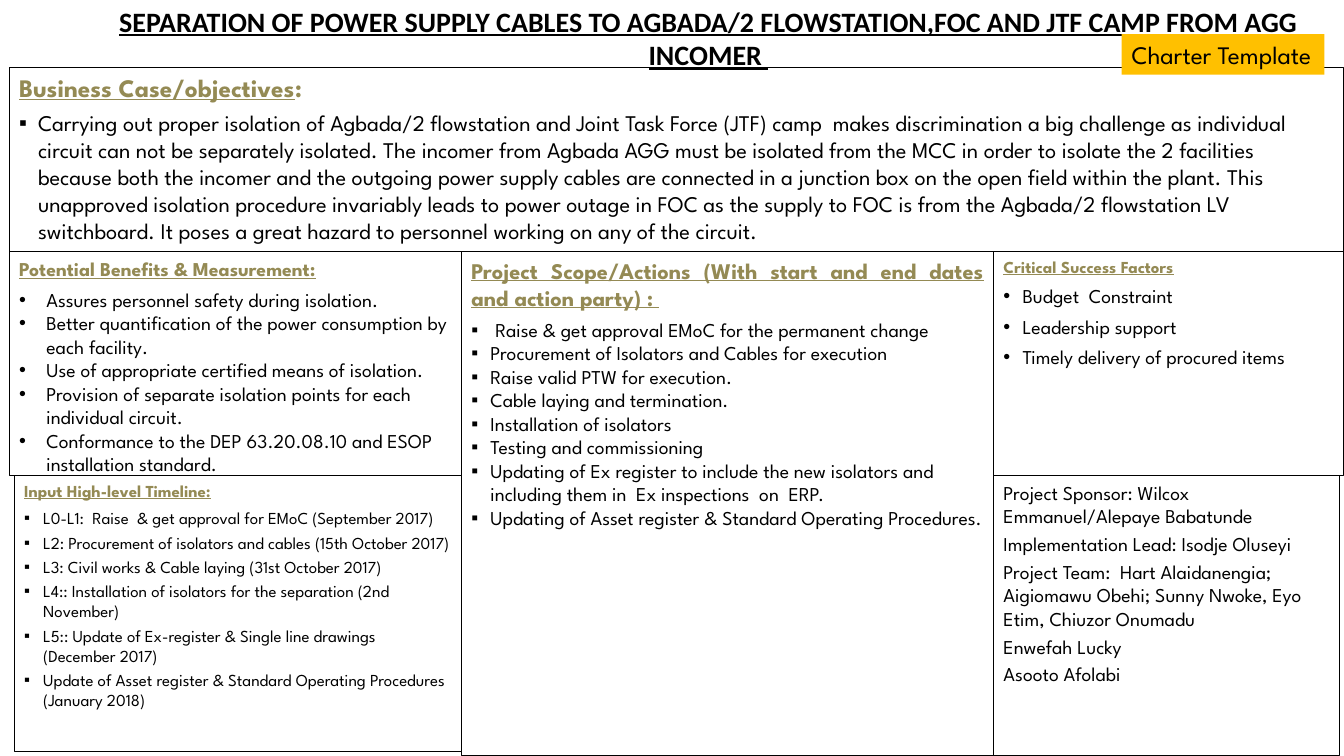
from lxml.etree import SubElement
from pptx import Presentation
from pptx.dml.color import RGBColor
from pptx.enum.shapes import MSO_SHAPE as Shape
from pptx.enum.text import MSO_ANCHOR as Anchor, MSO_AUTO_SIZE as AutoSize, PP_ALIGN as Align
from pptx.oxml.ns import qn
from pptx.util import Cm, Pt

TITLE = ("SEPARATION OF POWER SUPPLY CABLES TO AGBADA/2 FLOWSTATION,FOC "
         "AND JTF CAMP FROM AGG INCOMER ")
BADGE = "Charter Template"

BUSINESS_CASE = [
    "Carrying out proper isolation of Agbada/2 flowstation and Joint Task Force (JTF) camp  makes "
    "discrimination a big challenge as individual circuit can not be separately isolated. The incomer "
    "from Agbada AGG must be isolated from the MCC in order to isolate the 2 facilities because both "
    "the incomer and the outgoing power supply cables are connected in a junction box on the open "
    "field within the plant. This unapproved isolation procedure invariably leads to power outage in "
    "FOC as the supply to FOC is from the Agbada/2 flowstation LV switchboard. It poses a great hazard "
    "to personnel working on any of the circuit.",
]
SCOPE = [
    " Raise & get approval EMoC for the permanent change",
    "Procurement of Isolators and Cables for execution",
    "Raise valid PTW for execution.",
    "Cable laying and termination.",
    "Installation of isolators",
    "Testing and commissioning",
    "Updating of Ex register to include the new isolators and including them in  Ex inspections  on  ERP.",
    "Updating of Asset register & Standard Operating Procedures.",
]
TEAM = [
    "Project Sponsor: Wilcox Emmanuel/Alepaye Babatunde",
    "Implementation Lead: Isodje Oluseyi",
    "Project Team:  Hart Alaidanengia; Aigiomawu Obehi; Sunny Nwoke, Eyo Etim, Chiuzor Onumadu",
    "Enwefah Lucky",
    "Asooto Afolabi",
]
TIMELINE = [
    "L0-L1:  Raise  & get approval for EMoC (September 2017)",
    "L2: Procurement of isolators and cables (15th October 2017)",
    "L3: Civil works & Cable laying (31st October 2017)",
    "L4:: Installation of isolators for the separation (2nd November)",
    "L5:: Update of Ex-register & Single line drawings (December 2017)",
    "Update of Asset register & Standard Operating Procedures (January 2018)",
]
SUCCESS = ["Budget  Constraint", "Leadership support", "Timely delivery of procured items"]
BENEFITS = [
    "Assures personnel safety during isolation.",
    "Better quantification of the power consumption by each facility.",
    "Use of appropriate certified means of isolation.",
    "Provision of separate isolation points for each individual circuit.",
    "Conformance to the DEP 63.20.08.10 and ESOP installation standard.",
]

THEME = {
    "black": RGBColor(0, 0, 0), "white": RGBColor(255, 255, 255),
    "olive": RGBColor(0x94, 0x8A, 0x54), "amber": RGBColor(0xFF, 0xC0, 0),
    "title_font": "Calibri", "body_font": "League Spartan", "bullet_font": "Arial",
    "huge": Pt(20), "large": Pt(18), "medium": Pt(16), "normal": Pt(14), "small": Pt(12),
    "border": Pt(0.75),
}

# Grid lines in centimetres
LEFT, SCOPE_LEFT, SCOPE_RIGHT, RIGHT = 0.23, 11.63, 25.04, 33.86
TOP, MIDDLE, LOWER, BOTTOM = 1.7, 6.35, 11.99, 19.05
SQUARE, DOT = "▪", "•"

# Edges are left, top, right, bottom; spacing is before and after each item, in points
PANELS = [
    {"edges": (LEFT, TOP, RIGHT, MIDDLE), "heading": "Business Case/objectives", "suffix": ":",
     "heading_size": "large", "items": BUSINESS_CASE, "size": "medium", "bullet": SQUARE, "spacing": (0, 5)},
    {"edges": (SCOPE_LEFT, MIDDLE, SCOPE_RIGHT, BOTTOM),
     "heading": "Project Scope/Actions (With start and end dates and action party) : ",
     "heading_size": "medium", "items": SCOPE, "size": "normal", "bullet": SQUARE},
    {"edges": (SCOPE_RIGHT, LOWER, RIGHT - 0.1, BOTTOM), "items": TEAM, "size": "normal", "spacing": (3, 0)},
    {"edges": (LEFT + 0.13, LOWER, SCOPE_LEFT, BOTTOM - 0.1), "heading": "Input High-level Timeline:",
     "heading_size": "small", "items": TIMELINE, "size": "small", "bullet": SQUARE,
     "spacing": (3, 0), "fill": "white"},
    {"edges": (SCOPE_RIGHT, MIDDLE, RIGHT, LOWER), "heading": "Critical Success Factors",
     "heading_size": "small", "items": SUCCESS, "size": "normal", "bullet": DOT,
     "spacing": (0, 5), "fill": "white", "align": Align.JUSTIFY},
    {"edges": (LEFT, MIDDLE, SCOPE_LEFT, LOWER), "heading": "Potential Benefits & Measurement:",
     "heading_size": "normal", "items": BENEFITS, "size": "normal", "bullet": DOT,
     "indent": 0.69, "fill": "white"},
]


def set_values(target, values):
    for name, value in values.items():
        setattr(target, name, value)


def add_run(paragraph, text, size, color="black", font="body_font", bold=False, underline=False):
    run = paragraph.add_run()
    run.text = text
    set_values(run.font, {"name": THEME[font], "size": THEME[size], "bold": bold, "underline": underline})
    run.font.color.rgb = THEME[color]


def add_bullet(paragraph, character, indent):
    properties = paragraph._p.get_or_add_pPr()
    properties.set("marL", str(Cm(indent)))
    properties.set("indent", str(-Cm(indent)))
    SubElement(properties, qn("a:buFont")).set("typeface", THEME["bullet_font"])
    SubElement(properties, qn("a:buChar")).set("char", character)


def add_rectangle(slide, left, top, width, height, fill=None, border=None):
    shape = slide.shapes.add_shape(Shape.RECTANGLE, Cm(left), Cm(top), Cm(width), Cm(height))
    shape.shadow.inherit = False
    if fill:
        shape.fill.solid()
        shape.fill.fore_color.rgb = THEME[fill]
    else:
        shape.fill.background()
    if border:
        shape.line.color.rgb = THEME[border]
        shape.line.width = THEME["border"]
    else:
        shape.line.fill.background()
    set_values(shape.text_frame, {"word_wrap": True, "vertical_anchor": Anchor.TOP})
    return shape


def add_panel(slide, panel):
    left, top, right, bottom = panel["edges"]
    shape = add_rectangle(slide, left, top, right - left, bottom - top, panel.get("fill"), "black")
    frame = shape.text_frame
    paragraph = frame.paragraphs[0]
    has_heading = "heading" in panel
    if has_heading:
        set_values(paragraph, {"alignment": Align.JUSTIFY, "space_after": Pt(5)})
        add_run(paragraph, panel["heading"], panel["heading_size"], "olive", bold=True, underline=True)
        if "suffix" in panel:
            add_run(paragraph, panel["suffix"], panel["heading_size"], "olive", bold=True)
    before, after = panel.get("spacing", (0, 0))
    for index, item in enumerate(panel["items"]):
        if has_heading or index:
            paragraph = frame.add_paragraph()
        if "bullet" in panel:
            add_bullet(paragraph, panel["bullet"], panel.get("indent", 0.48))
        set_values(paragraph, {
            "alignment": panel.get("align", Align.LEFT),
            "space_before": Pt(before if index else 0),
            "space_after": Pt(after),
        })
        add_run(paragraph, item, panel["size"])


def add_title(slide):
    frame = slide.shapes.add_textbox(Cm(1.83), Cm(0.2), Cm(32.05), Cm(1.5)).text_frame
    set_values(frame, {"word_wrap": True, "vertical_anchor": Anchor.MIDDLE})
    frame.paragraphs[0].alignment = Align.CENTER
    add_run(frame.paragraphs[0], TITLE, "huge", font="title_font", bold=True, underline=True)


def add_badge(slide):
    frame = add_rectangle(slide, 28.27, 0.86, 5.11, 1.02, "amber").text_frame
    set_values(frame, {"word_wrap": False, "auto_size": AutoSize.SHAPE_TO_FIT_TEXT})
    frame.paragraphs[0].alignment = Align.LEFT
    add_run(frame.paragraphs[0], BADGE, "large")


def main():
    presentation = Presentation()
    set_values(presentation, {"slide_width": Cm(33.87), "slide_height": Cm(19.05)})
    slide = presentation.slides.add_slide(presentation.slide_layouts[6])
    add_title(slide)
    for panel in PANELS:
        add_panel(slide, panel)
    add_badge(slide)
    presentation.save("out.pptx")


if __name__ == "__main__":
    main()
